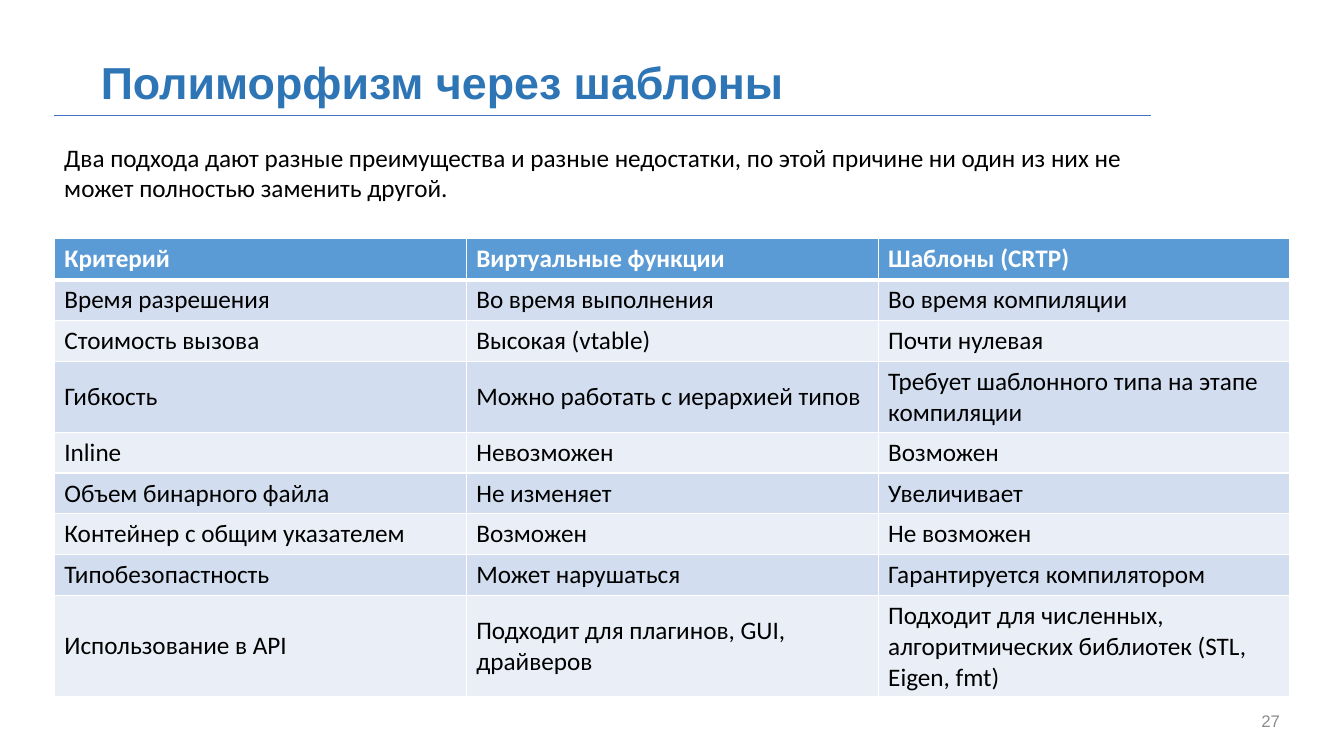
from lxml import etree
from pptx import Presentation
from pptx import util as u
from pptx.dml.color import RGBColor
from pptx.enum import shapes, text
from pptx.oxml import ns

TITLE = RGBColor(0x2E, 0x75, 0xB6)
RULE = RGBColor(0x44, 0x72, 0xC4)
GRAY = RGBColor(0x8C, 0x8C, 0x8C)
BLACK = RGBColor(0, 0, 0)
WHITE = RGBColor(255, 255, 255)
HEAD = RGBColor(0x5B, 0x9B, 0xD5)
BANDS = [RGBColor(0xEA, 0xEF, 0xF7), RGBColor(0xD2, 0xDE, 0xEF)]
LEFT = u.Cm(1.37)

ROWS = [
    ("Критерий", "Виртуальные функции", "Шаблоны (CRTP)"),
    ("Время разрешения", "Во время выполнения", "Во время компиляции"),
    ("Стоимость вызова", "Высокая (vtable)", "Почти нулевая"),
    ("Гибкость", "Можно работать с иерархией типов",
     "Требует шаблонного типа на этапе компиляции"),
    ("Inline", "Невозможен", "Возможен"),
    ("Объем бинарного файла", "Не изменяет", "Увеличивает"),
    ("Контейнер с общим указателем", "Возможен", "Не возможен"),
    ("Типобезопастность", "Может нарушаться", "Гарантируется компилятором"),
    ("Использование в API", "Подходит для плагинов, GUI, драйверов",
     "Подходит для численных, алгоритмических библиотек (STL, Eigen, fmt)"),
]


def write(frame, words, size, face, color, bold=False):
    """Fill a text frame with one uniformly styled paragraph."""
    frame.text = words
    font = frame.paragraphs[0].runs[0].font
    font.size, font.name, font.bold = u.Pt(size), face, bold
    font.color.rgb = color


def edge(cell, side, width):
    """Draw one white border of a table cell; call before setting its fill."""
    line = etree.SubElement(cell._tc.get_or_add_tcPr(), ns.qn("a:ln" + side),
                            w=str(u.Pt(width)))
    fill = etree.SubElement(line, ns.qn("a:solidFill"))
    etree.SubElement(fill, ns.qn("a:srgbClr"), val=str(WHITE))


deck = Presentation()
deck.slide_width, deck.slide_height = u.Cm(33.87), u.Cm(19.05)
slide = deck.slides.add_slide(deck.slide_layouts[6])

# Title and rule
title = slide.shapes.add_textbox(u.Cm(2.29), u.Cm(1.35), u.Cm(26.47), u.Cm(1.4)).text_frame
title.word_wrap = True
title.vertical_anchor = text.MSO_ANCHOR.MIDDLE
write(title, "Полиморфизм через шаблоны", 32, "Arial", TITLE, True)

rule = slide.shapes.add_connector(shapes.MSO_CONNECTOR.STRAIGHT,
                                  LEFT, u.Cm(2.9), u.Cm(29.01), u.Cm(2.9))
rule.line.color.rgb = RULE
rule.line.width = u.Pt(0.5)
etree.SubElement(rule._element.spPr, ns.qn("a:effectLst"))

# Slide number
page = slide.shapes.add_textbox(u.Cm(29.21), u.Cm(17.65), u.Cm(3.3), u.Cm(1.02)).text_frame
page.word_wrap = True
page.vertical_anchor = text.MSO_ANCHOR.MIDDLE
write(page, "27", 12, "Arial", GRAY)
page.paragraphs[0].alignment = text.PP_ALIGN.RIGHT

# Introduction
intro = slide.shapes.add_textbox(LEFT, u.Cm(3.45), u.Cm(28.93), u.Cm(1.8)).text_frame
intro.word_wrap = True
write(intro, "Два подхода дают разные преимущества и разные недостатки, "
      "по этой причине ни один из них не может полностью заменить другой.",
      18, "Calibri", BLACK)

# Comparison table
table = slide.shapes.add_table(len(ROWS), 3, LEFT, u.Cm(6.02),
                               u.Cm(31.14), u.Cm(1.03) * len(ROWS)).table
for r, row in enumerate(ROWS):
    for c, words in enumerate(row):
        cell = table.cell(r, c)
        cell.vertical_anchor = text.MSO_ANCHOR.MIDDLE
        write(cell.text_frame, words, 18, "Calibri", BLACK if r else WHITE, r == 0)
        widths = {"L": 1, "R": 1, "T": 3 if r == 1 else 1, "B": 1 if r else 3}
        for side, width in widths.items():
            edge(cell, side, width)
        cell.fill.solid()
        cell.fill.fore_color.rgb = BANDS[r % 2] if r else HEAD

deck.save("out.pptx")
